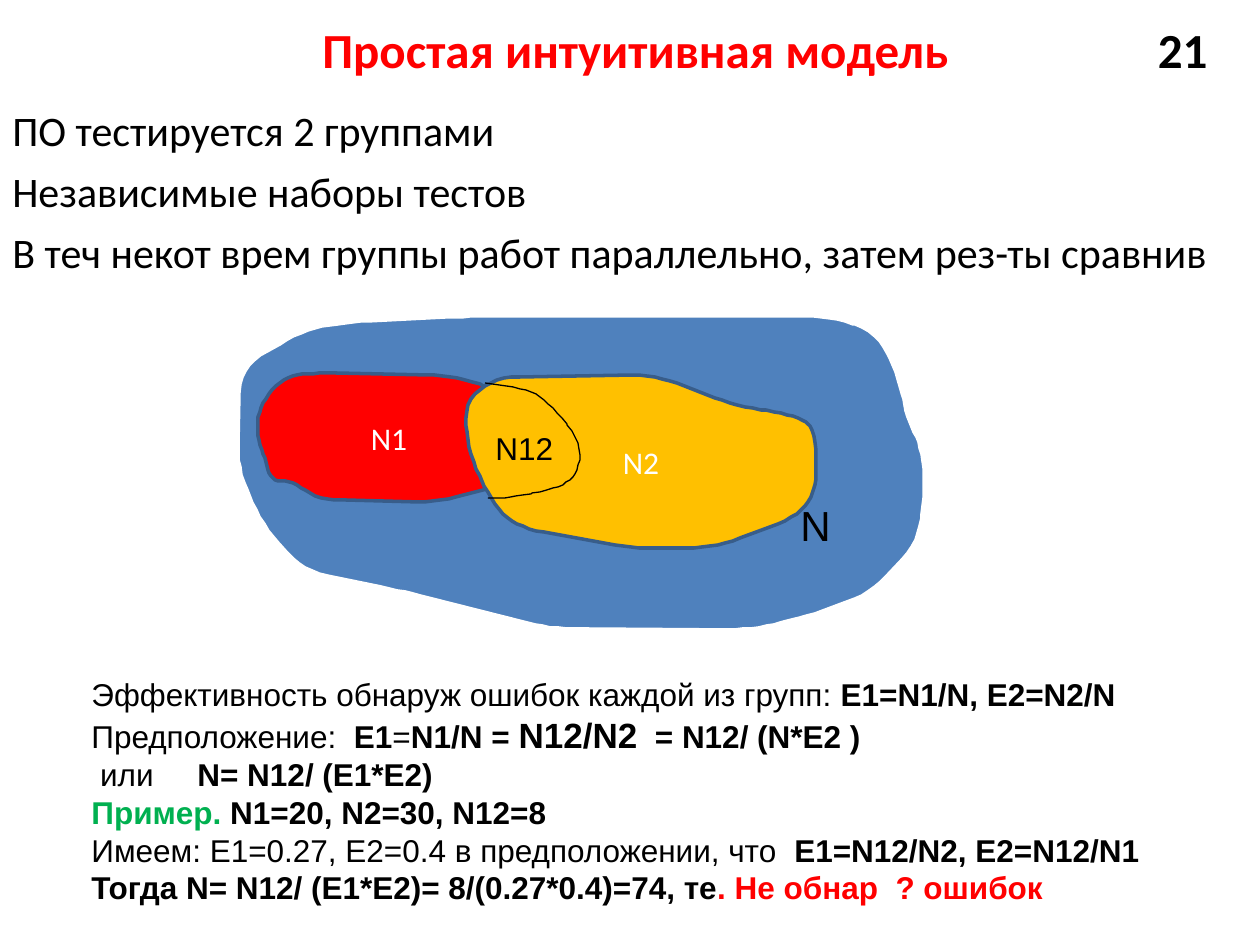
from dataclasses import dataclass

from lxml import etree
from pptx import Presentation
from pptx import util as u
from pptx.dml.color import RGBColor
from pptx.enum import text
from pptx.oxml.ns import qn

PX = 914400 / 126


@dataclass(frozen=True)
class Theme:
    """Colours, fonts, type sizes and line widths of the slide."""
    black: str = "000000"
    white: str = "FFFFFF"
    red: str = "FF0000"
    green: str = "00B050"
    blue: str = "4F81BD"
    amber: str = "FFC000"
    edge: str = "385D8A"
    head: str = "Calibri"
    body: str = "Arial"
    title: int = 28
    large: int = 24
    formula: int = 20
    small: int = 18
    thick: float = 2
    thin: float = 0.75


T = Theme()


def px(n):
    """Turn pixels into EMU."""
    return u.Emu(round(n * PX))


def rgb(colour):
    """Turn a hex string into a colour."""
    return RGBColor.from_string(colour)


def run(words, bold=None, colour=None, size=None):
    """Describe one run by what differs from its paragraph."""
    return words, bold, colour, size


def toward(a, b, share):
    """Return the point that lies a share of the way from a to b."""
    return tuple(m + (n - m) * share for m, n in zip(a, b))


def round_corner(before, corner, after, radius=24, steps=6):
    """Replace a corner by a quadratic curve that starts and ends on its edges."""
    ends = []
    for other in (before, after):
        length = sum((m - n) ** 2 for m, n in zip(corner, other)) ** 0.5
        ends.append(toward(corner, other, min(radius / length, 0.5)))
    start, end = ends
    return [toward(toward(start, corner, i / steps),
                   toward(corner, end, i / steps), i / steps)
            for i in range(steps + 1)]


def smooth(corners, closed):
    """Round every corner of an outline; an open one keeps its two ends."""
    count = len(corners)
    inner = range(count) if closed else range(1, count - 1)
    curve = [point for i in inner
             for point in round_corner(corners[i - 1], corners[i],
                                       corners[(i + 1) % count])]
    return curve if closed else [corners[0], *curve, corners[-1]]


class Slide:
    """The current slide with one method per kind of element."""

    def __init__(self, prs, theme):
        """Add a blank slide."""
        self.s = prs.slides.add_slide(prs.slide_layouts[6])
        self.theme = theme

    def paragraph(self, p, runs, font, size, colour, before=0, tabs=()):
        """Fill a paragraph with runs; tabs are (pixels, alignment) pairs."""
        p.space_before = u.Pt(before)
        p.font.name, p.font.size = font, u.Pt(size)
        p.font.color.rgb = rgb(colour)
        if tabs:
            stops = etree.Element(qn("a:tabLst"))
            for at, align in tabs:
                etree.SubElement(stops, qn("a:tab"), pos=str(px(at)), algn=align)
            p._p.pPr.insert_element_before(stops, "a:defRPr", "a:extLst")
        for words, bold, run_colour, run_size in runs:
            r = p.add_run()
            r.text = words
            r.font.name, r.font.size = font, u.Pt(run_size or size)
            r.font.bold = bold
            r.font.color.rgb = rgb(run_colour or colour)

    def text(self, box, lines, font, size, wrap=True, middle=False, **style):
        """Add a text box; each line is a list of runs."""
        tf = self.s.shapes.add_textbox(*map(px, box)).text_frame
        tf.word_wrap = wrap
        if middle:
            tf.vertical_anchor = text.MSO_ANCHOR.MIDDLE
        for i, runs in enumerate(lines):
            p = tf.add_paragraph() if i else tf.paragraphs[0]
            self.paragraph(p, runs, font, size, self.theme.black, **style)

    def region(self, corners, line, width, fill=None, label=None):
        """Draw a rounded region, or an open curve when there is no fill."""
        closed = fill is not None
        first, *rest = smooth(corners, closed)
        builder = self.s.shapes.build_freeform(*first, scale=PX)
        builder.add_line_segments(rest, close=closed)
        sp = builder.convert_to_shape()
        sp.shadow.inherit = False
        sp.line.color.rgb, sp.line.width = rgb(line), u.Pt(width)
        if closed:
            sp.fill.solid()
            sp.fill.fore_color.rgb = rgb(fill)
        else:
            sp.fill.background()
        if label:
            tf = sp.text_frame
            tf.vertical_anchor = text.MSO_ANCHOR.MIDDLE
            p = tf.paragraphs[0]
            p.alignment = text.PP_ALIGN.CENTER
            self.paragraph(p, [run(label)], self.theme.head, self.theme.small,
                           self.theme.white)


# Corners of each region, clockwise; smooth() turns them into curves.
ALL_ERRORS = [(240, 368), (300, 331), (345, 322), (470, 316), (830, 316),
              (878, 332), (900, 380), (907, 418), (922, 446), (925, 490),
              (919, 542), (870, 594), (800, 619), (751, 630), (550, 629),
              (405, 592), (303, 571), (262, 525), (237, 468)]
GROUP_1 = [(256, 431), (261, 403), (284, 377), (310, 373), (450, 375),
           (495, 388), (522, 446), (518, 480), (441, 502), (318, 500),
           (292, 481), (271, 481), (265, 459)]
GROUP_2 = [(464, 402), (495, 377), (655, 375), (737, 406), (790, 414),
           (815, 426), (817, 488), (800, 515), (718, 547), (639, 549),
           (520, 528), (495, 507), (469, 455)]
OVERLAP = [(485, 383), (528, 389), (552, 405), (582, 444), (577, 476),
           (556, 489), (507, 498), (488, 498)]

prs = Presentation()
prs.slide_width, prs.slide_height = px(1260), px(945)
slide = Slide(prs, T)

slide.text((94, 0, 1128, 98),
           [[run("\tПростая интуитивная модель", True, T.red), run("\t21", True)]],
           T.head, T.title, middle=True, tabs=((216, "l"), (1101, "r")))

statements = ["ПО тестируется 2 группами",
              "Независимые наборы тестов",
              "В теч некот врем группы работ параллельно, затем рез-ты сравнив"]
slide.text((0, 98, 1260, 827), [[run(words)] for words in statements],
           T.head, T.large, before=6)

for corners, line, width, fill, label in [
        (ALL_ERRORS, T.white, T.thick, T.blue, None),
        (GROUP_1, T.edge, T.thick, T.red, "N1"),
        (GROUP_2, T.edge, T.thick, T.amber, "N2"),
        (OVERLAP, T.black, T.thin, None, None)]:
    slide.region(corners, line, width, fill, label)

for name, box, size in [("N", (788, 493, 55, 63), T.large),
                        ("N12", (483, 423, 83, 50), T.small)]:
    slide.text(box, [[run(name)]], T.body, size, wrap=False)

slide.text((79, 669, 1152, 282), [
    [run("Эффективность обнаруж ошибок каждой из групп: "),
     run("E1=N1/N, E2=N2/N", True)],
    [run("Предположение:  "), run("E1", True), run("="), run("N1/N = ", True),
     run("N12/N2", True, size=T.formula), run("  = N12/ (N*E2 )", True)],
    [run(" или"), run("\tN= N12/ (E1*E2)", True)],
    [run("Пример. ", True, T.green), run("N1=20, N2=30, N12=8", True)],
    [run("Имеем: Е1=0.27, Е2=0.4 в предположении, что  "),
     run("Е1=N12/N2, E2=N12/N1", True)],
    [run("Тогда N= N12/ (E1*E2)= 8/(0.27*0.4)=74, те", True),
     run(". Не обнар  ? ошибок", True, T.red)],
], T.body, T.small, tabs=((106, "l"),))

prs.save("out.pptx")
